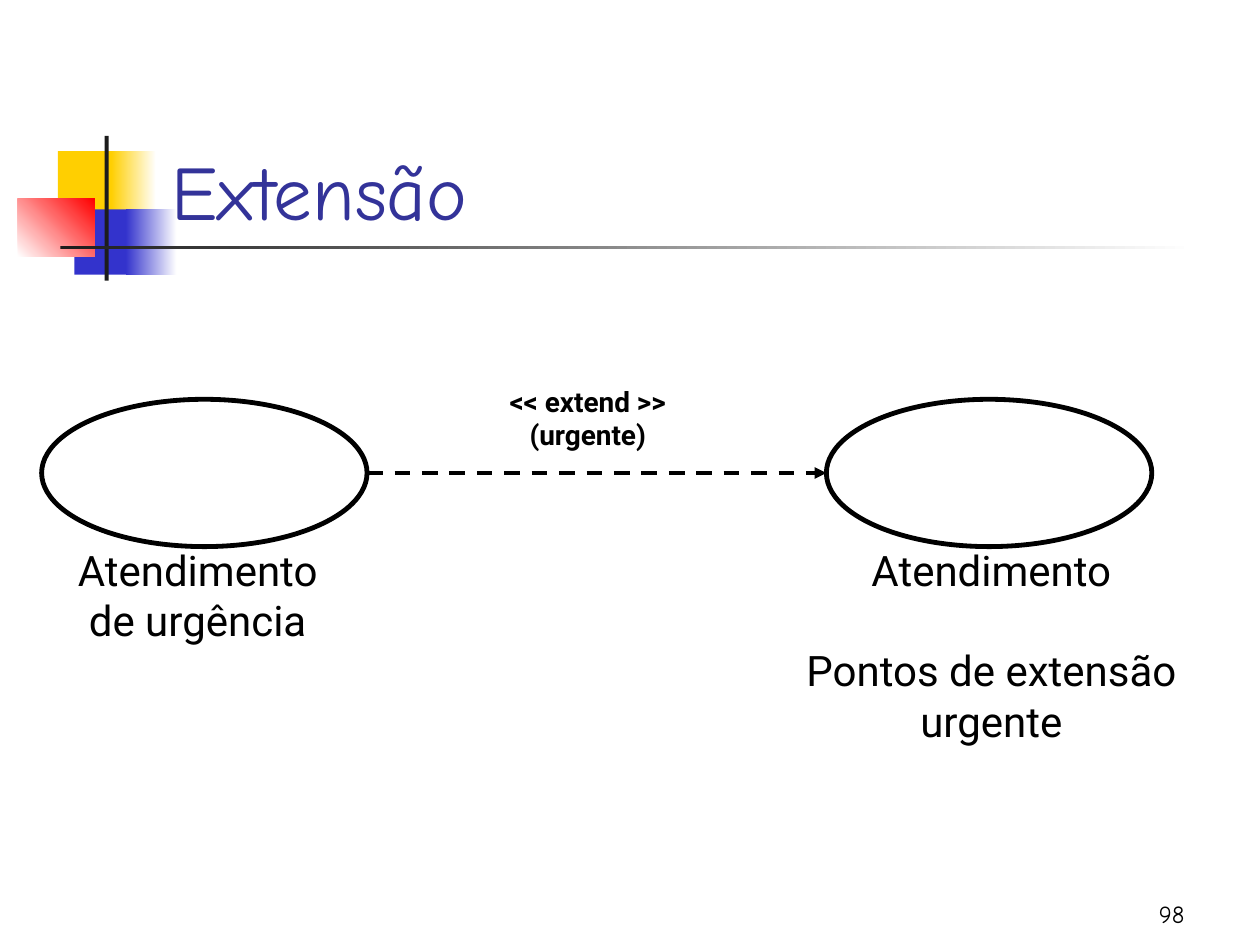
from lxml.etree import SubElement
from pptx import Presentation
from pptx.dml.color import RGBColor
from pptx.enum.dml import MSO_LINE
from pptx.enum.shapes import MSO_CONNECTOR, MSO_SHAPE
from pptx.enum.text import MSO_ANCHOR, MSO_AUTO_SIZE, PP_ALIGN
from pptx.oxml.ns import qn
from pptx.util import Cm, Pt

BLACK = RGBColor(0x00, 0x00, 0x00)
WHITE = RGBColor(0xFF, 0xFF, 0xFF)
YELLOW = RGBColor(0xFF, 0xCF, 0x01)
BLUE = RGBColor(0x33, 0x33, 0xCC)
RED = RGBColor(0xFF, 0x00, 0x00)
CHARCOAL = RGBColor(0x1C, 0x1C, 0x1C)
INDIGO = RGBColor(0x33, 0x33, 0x99)
TITLE_FONT, BODY_FONT = "Comic Neue", "Roboto"

# Content: lengths in cm
TITLE = "Extensão"
PAGE_NUMBER = "98"

# (left, top, width, height), colours from start to end, gradient angle
ORNAMENTS = [
    ((1.17, 3.05, 1.22, 1.32), (YELLOW,), 0),
    ((2.24, 3.05, 0.91, 1.32), (YELLOW, WHITE), 0),
    ((1.5, 4.22, 1.17, 1.32), (BLUE,), 0),
    ((2.54, 4.22, 1.02, 1.32), (BLUE, WHITE), 0),
    ((0.36, 4.01, 1.55, 1.17), (WHITE, RED), 45),
    ((2.11, 2.74, 0.08, 2.92), (CHARCOAL,), 0),
    ((1.22, 4.95, 22.86, 0.08), (CHARCOAL, WHITE), 0),
]

# Ellipse left edge, label box, label lines, extension point lines
USE_CASES = [
    (16.66, (15.82, 10.85, 8.33, 4.32), ["Atendimento"],
     ["Pontos de extensão", "urgente"]),
    (0.84, (1.14, 10.85, 5.69, 2.29), ["Atendimento", "de urgência"], []),
]
CASE_TOP, CASE_WIDTH, CASE_HEIGHT = 8.05, 6.56, 2.97
EXTENSION_GAP = Pt(28.5)

RELATION = ["<< extend >>", "(urgente)"]
RELATION_BOX = (9.83, 7.62, 4.04, 1.63)


def cm(box):
    return [Cm(length) for length in box]


def style(paragraph, font_name, size, color, align, bold=False):
    paragraph.alignment = align
    font = paragraph.font
    font.name, font.size, font.bold = font_name, Pt(size), bold
    font.color.rgb = color


def add_text(slide, box, lines, font_name, size, align=PP_ALIGN.CENTER,
             bold=False):
    frame = slide.shapes.add_textbox(*cm(box)).text_frame
    frame.word_wrap = False
    frame.text = "\n".join(lines)
    for paragraph in frame.paragraphs:
        style(paragraph, font_name, size, BLACK, align, bold)
    return frame


def add_ornament(slide, box, colors, angle):
    block = slide.shapes.add_shape(MSO_SHAPE.RECTANGLE, *cm(box))
    block.shadow.inherit = False
    block.line.fill.background()
    if len(colors) == 1:
        block.fill.solid()
        block.fill.fore_color.rgb = colors[0]
        return
    block.fill.gradient()
    block.fill.gradient_angle = angle
    for stop, color in zip(block.fill.gradient_stops, colors):
        stop.color.rgb = color


def add_use_case(slide, left, label_box, name, extension_points):
    ellipse = slide.shapes.add_shape(
        MSO_SHAPE.OVAL, *cm((left, CASE_TOP, CASE_WIDTH, CASE_HEIGHT)))
    ellipse.shadow.inherit = False
    ellipse.fill.background()
    ellipse.line.color.rgb = BLACK
    ellipse.line.width = Pt(2.75)
    label = add_text(slide, label_box, name + extension_points, BODY_FONT, 24)
    if extension_points:
        label.paragraphs[len(name)].space_before = EXTENSION_GAP


def add_dashed_arrow(slide, start, end, y):
    arrow = slide.shapes.add_connector(
        MSO_CONNECTOR.STRAIGHT, *cm((start, y, end, y)))
    arrow.line.color.rgb = BLACK
    arrow.line.width = Pt(2.25)
    arrow.line.dash_style = MSO_LINE.DASH
    SubElement(arrow.line._get_or_add_ln(), qn("a:tailEnd"), type="triangle")
    SubElement(arrow._element.spPr, qn("a:effectLst"))


def main():
    deck = Presentation()
    deck.slide_width, deck.slide_height = Cm(25.4), Cm(19.05)
    slide = deck.slides.add_slide(deck.slide_layouts[5])

    # Corner ornament and rule
    for ornament in ORNAMENTS:
        add_ornament(slide, *ornament)

    # Title and page number
    title = slide.shapes.title
    title.left, title.top, title.width, title.height = cm(
        (3.2, 1.7, 21.64, 3.18))
    heading = title.text_frame
    heading.text = TITLE
    heading.auto_size = MSO_AUTO_SIZE.NONE
    heading.vertical_anchor = MSO_ANCHOR.BOTTOM
    style(heading.paragraphs[0], TITLE_FONT, 44, INDIGO, PP_ALIGN.LEFT)
    number = add_text(slide, (18.85, 17.58, 5.28, 1.27), [PAGE_NUMBER],
                      TITLE_FONT, 14, PP_ALIGN.RIGHT)
    number.word_wrap = True
    number.vertical_anchor = MSO_ANCHOR.BOTTOM

    # Use cases and the relation between them
    for use_case in USE_CASES:
        add_use_case(slide, *use_case)
    base_left, extending_left = (case[0] for case in USE_CASES)
    add_dashed_arrow(slide, extending_left + CASE_WIDTH, base_left,
                     CASE_TOP + CASE_HEIGHT / 2)
    add_text(slide, RELATION_BOX, RELATION, BODY_FONT, 16, bold=True)

    deck.save("out.pptx")


if __name__ == "__main__":
    main()
